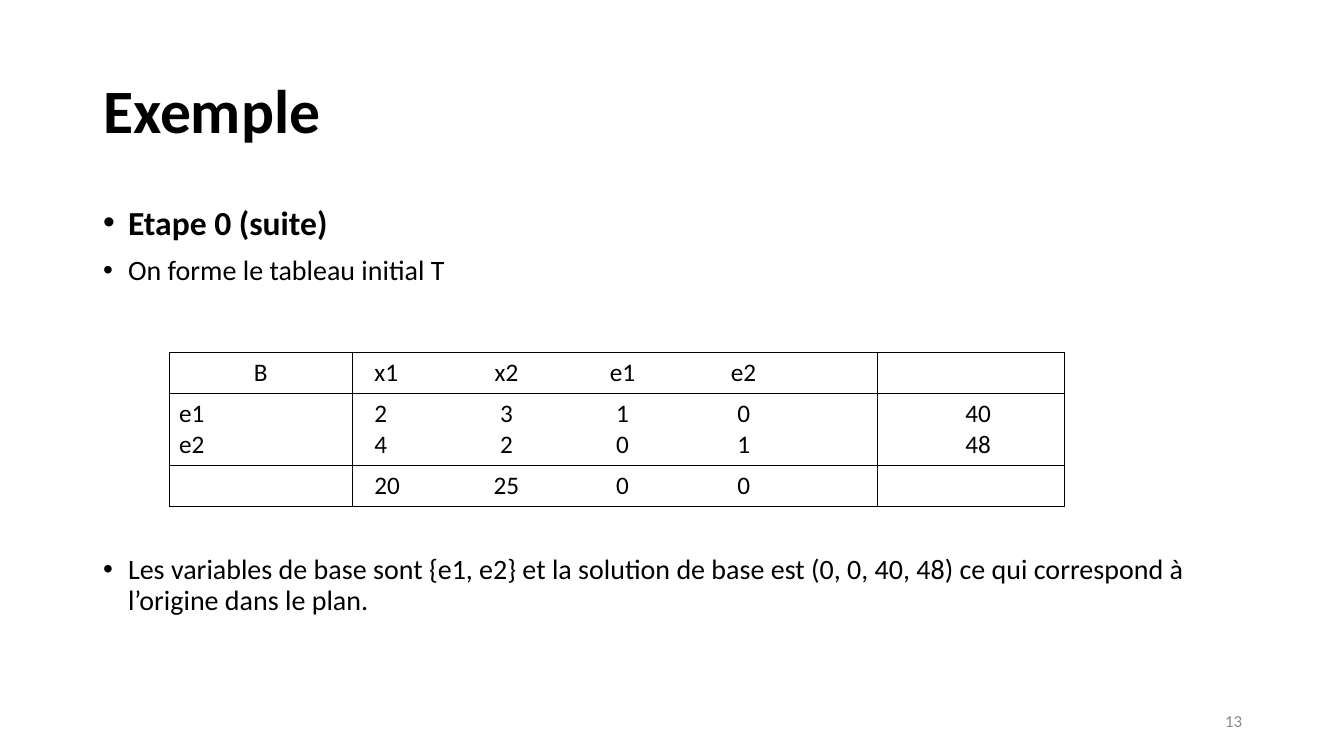
from lxml import etree
from pptx import Presentation
from pptx.dml.color import RGBColor
from pptx.enum.text import MSO_ANCHOR, MSO_AUTO_SIZE, PP_ALIGN
from pptx.oxml.ns import qn
from pptx.util import Emu, Pt

LEFT, CENTER, RIGHT = PP_ALIGN.LEFT, PP_ALIGN.CENTER, PP_ALIGN.RIGHT
MIDDLE, NO_FIT = MSO_ANCHOR.MIDDLE, MSO_AUTO_SIZE.NONE
EMU_PER_PX = 9080
SLIDE_SIZE = (1343, 755)
BLACK, GREY = "000000", "898989"

TITLE = "Exemple"
TITLE_BOX = (93, 40, 1158, 146)
BODY_BOX = (93, 201, 1158, 479)
NUMBER = "13"
NUMBER_BOX = (949, 700, 302, 40)
BULLET_INDENT = 25
BULLETS = [
    ("Etape 0 (suite)", 24, True, 0),
    ("On forme le tableau initial T", 20, False, 10),
    ("Les variables de base sont {e1, e2} et la solution de base est "
     "(0, 0, 40, 48) ce qui correspond à l’origine dans le plan.", 20, False, 192),
]

TABLE_ORIGIN = (169, 352)
COLUMN_WIDTHS = (183, 525, 187)
ROW_HEIGHTS = (41, 71, 41)
COEFFICIENT_STOPS = ((12, "l"), (144, "ctr"), (260, "ctr"), (381, "ctr"))
RESULT_MARGIN = 24
TABLEAU = [
    (["B"], [("x1", "x2", "e1", "e2")], []),
    (["e1", "e2"], [("2", "3", "1", "0"), ("4", "2", "0", "1")], ["40", "48"]),
    ([], [("20", "25", "0", "0")], []),
]


def px(length):
    """Turn pixels into EMU."""
    return Emu(length * EMU_PER_PX)


def rgb(value):
    """Turn a hex string into a colour."""
    return RGBColor.from_string(value)


def add_element(parent, tag, **attributes):
    """Append a drawing element with attributes to its parent."""
    element = etree.SubElement(parent, qn(tag))
    for name, value in attributes.items():
        element.set(name, str(value))
    return element


def write(para, text, size, color=BLACK, bold=False, **formats):
    """Write one formatted span into a paragraph."""
    for name, value in formats.items():
        setattr(para, name, value)
    span = para.add_run()
    span.text = text
    for name, value in {"name": "Calibri", "size": Pt(size), "bold": bold}.items():
        setattr(span.font, name, value)
    span.font.color.rgb = rgb(color)


def place(box, area):
    """Place a box and set up its text frame."""
    for name, length in zip(("left", "top", "width", "height"), area):
        setattr(box, name, px(length))
    frame = box.text_frame
    frame.word_wrap, frame.auto_size = True, NO_FIT
    return frame


def next_paragraph(frame, index):
    """Return the first paragraph of a frame or a new one."""
    return frame.add_paragraph() if index else frame.paragraphs[0]


def add_bullets(slide):
    """Add the bulleted text around the table."""
    frame = place(slide.shapes.add_textbox(0, 0, 0, 0), BODY_BOX)
    for index, (text, size, bold, gap) in enumerate(BULLETS):
        para = next_paragraph(frame, index)
        properties = para._p.get_or_add_pPr()
        properties.set("marL", str(px(BULLET_INDENT)))
        properties.set("indent", str(-px(BULLET_INDENT)))
        add_element(add_element(properties, "a:buClr"), "a:srgbClr", val=BLACK)
        add_element(properties, "a:buFont", typeface="Arial")
        add_element(properties, "a:buChar", char="•")
        write(para, text, size, bold=bold, line_spacing=0.9, space_before=Pt(gap))


def add_borders(cell):
    """Give a cell thin black borders and no fill."""
    properties = cell._tc.get_or_add_tcPr()
    for side in ("a:lnL", "a:lnR", "a:lnT", "a:lnB"):
        line = add_element(properties, side, w=Pt(0.45))
        add_element(add_element(line, "a:solidFill"), "a:srgbClr", val=BLACK)
    cell.fill.background()


def fill_cell(cell, lines, alignment):
    """Write the lines of a cell, with tab stops between coefficients."""
    for index, line in enumerate(lines):
        para = next_paragraph(cell.text_frame, index)
        if isinstance(line, tuple):
            stops = add_element(para._p.get_or_add_pPr(), "a:tabLst")
            for position, kind in COEFFICIENT_STOPS:
                add_element(stops, "a:tab", pos=px(position), algn=kind)
            line = "".join("\t" + value for value in line)
        write(para, line, 18, alignment=alignment)


def add_tableau(slide):
    """Add the initial simplex table."""
    area = (*TABLE_ORIGIN, sum(COLUMN_WIDTHS), sum(ROW_HEIGHTS))
    table = slide.shapes.add_table(
        len(ROW_HEIGHTS), len(COLUMN_WIDTHS), *map(px, area)).table
    table.first_row = table.horz_banding = False
    for column, width in zip(table.columns, COLUMN_WIDTHS):
        column.width = px(width)
    for row, height in zip(table.rows, ROW_HEIGHTS):
        row.height = px(height)
    for row_index, contents in enumerate(TABLEAU):
        alignments = (LEFT if row_index else CENTER, LEFT, CENTER)
        for column_index, lines in enumerate(contents):
            cell = table.cell(row_index, column_index)
            add_borders(cell)
            fill_cell(cell, lines, alignments[column_index])
        cell.margin_left = px(RESULT_MARGIN)


def main():
    """Build the slide and save the deck."""
    deck = Presentation()
    deck.slide_width, deck.slide_height = map(px, SLIDE_SIZE)
    page = deck.slides.add_slide(deck.slide_layouts[5])
    title = place(page.shapes.title, TITLE_BOX)
    title.vertical_anchor = MIDDLE
    write(title.paragraphs[0], TITLE, 44, bold=True, alignment=LEFT, line_spacing=0.9)
    add_bullets(page)
    add_tableau(page)
    number = place(page.shapes.add_textbox(0, 0, 0, 0), NUMBER_BOX)
    number.vertical_anchor = MIDDLE
    write(number.paragraphs[0], NUMBER, 12, GREY, alignment=RIGHT)
    deck.save("out.pptx")


if __name__ == "__main__":
    main()
